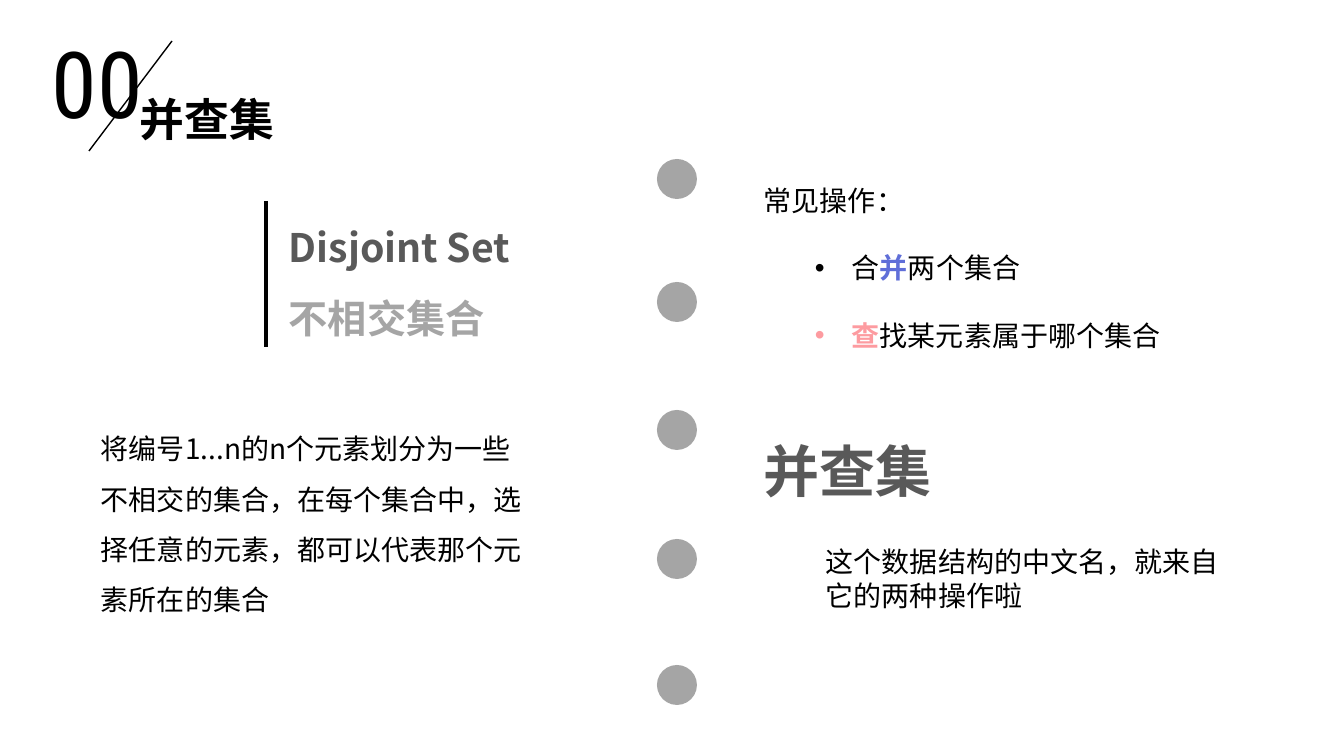
from dataclasses import dataclass

from lxml.etree import SubElement
from pptx import Presentation
from pptx.dml.color import RGBColor as Color
from pptx.enum.shapes import MSO_CONNECTOR as Connector, MSO_SHAPE as Shape
from pptx.enum.text import MSO_AUTO_SIZE as AutoSize
from pptx.oxml.ns import qn
from pptx.util import Pt

SLIDE_WIDTH, SLIDE_HEIGHT = 1344, 756
EMU_PER_PX = 12192000 / SLIDE_WIDTH


@dataclass(frozen=True)
class Theme:
    body_font: str = "Noto Sans CJK SC"
    number_font: str = "Roboto Condensed"
    black: str = "000000"
    dark: str = "595959"
    grey: str = "A5A5A5"
    blue: str = "5F6ED8"
    pink: str = "FD9BA0"
    number: int = 66
    name: int = 40
    title: int = 32
    term: int = 28
    body: int = 20


THEME = Theme()


def px(length):
    return round(length * EMU_PER_PX)


def style_run(run, size, color=THEME.black, bold=False, font_name=THEME.body_font):
    run.font.size = Pt(size)
    run.font.bold = bold
    run.font.color.rgb = Color.from_string(color)
    run.font.name = font_name
    east_asian = SubElement(run.font._element, qn("a:ea"))
    east_asian.set("typeface", font_name)


def add_text(slide, box, lines, size, color=THEME.black, bold=False,
             font_name=THEME.body_font, wrap=False, spacing=None):
    text_frame = slide.shapes.add_textbox(*map(px, box)).text_frame
    text_frame.word_wrap = wrap
    text_frame.auto_size = AutoSize.SHAPE_TO_FIT_TEXT
    text_frame.text = "\n".join(lines)
    for paragraph in text_frame.paragraphs:
        paragraph.line_spacing = spacing
        for run in paragraph.runs:
            style_run(run, size, color, bold, font_name)
    return text_frame


def add_bullet(text_frame, parts, spacing):
    paragraph = text_frame.add_paragraph()
    properties = paragraph._p.get_or_add_pPr()
    properties.set("marL", str(px(88)))
    properties.set("indent", str(px(-37)))
    SubElement(properties, qn("a:buFont")).set("typeface", "Arial")
    SubElement(properties, qn("a:buChar")).set("char", "•")
    paragraph.level = 1
    paragraph.line_spacing = spacing
    for text, color in parts:
        run = paragraph.add_run()
        run.text = text
        style_run(run, THEME.body, color, bold=color != THEME.black)


def add_line(slide, start, end, width):
    line = slide.shapes.add_connector(Connector.STRAIGHT, *map(px, start + end))
    line.line.color.rgb = Color.from_string(THEME.black)
    line.line.width = Pt(width)
    SubElement(line._element.spPr, qn("a:effectLst"))


def add_dot(slide, left, top, diameter=40):
    dot = slide.shapes.add_shape(
        Shape.OVAL, px(left), px(top), px(diameter), px(diameter))
    dot.shadow.inherit = False
    dot.fill.solid()
    dot.fill.fore_color.rgb = Color.from_string(THEME.grey)
    dot.line.fill.background()


def add_heading(slide):
    add_text(slide, (42, 21, 112, 122), ["00"], THEME.number,
             font_name=THEME.number_font)
    add_line(slide, (89, 151), (172, 41), 1)
    add_text(slide, (130, 87, 156, 65), ["并查集"], THEME.title, bold=True)


def add_definition(slide):
    add_line(slide, (266, 201), (266, 347), 2.75)
    term = add_text(slide, (279, 195, 247, 151), ["Disjoint Set", "不相交集合"],
                    THEME.term, THEME.dark, bold=True, spacing=1.5)
    term.paragraphs[1].runs[0].font.color.rgb = Color.from_string(THEME.grey)
    add_text(slide, (91, 410, 445, 208),
             ["将编号1...n的n个元素划分为一些不相交的集合，在每个集合中，"
              "选择任意的元素，都可以代表那个元素所在的集合"],
             THEME.body, wrap=True, spacing=1.5)


def add_operations(slide):
    operations = add_text(slide, (754, 145, 422, 204), ["常见操作："],
                          THEME.body, spacing=2.0)
    bullets = [
        [("合", THEME.black), ("并", THEME.blue), ("两个集合", THEME.black)],
        [("查", THEME.pink), ("找某元素属于哪个集合", THEME.black)],
    ]
    for parts in bullets:
        add_bullet(operations, parts, 2.0)


def add_name_origin(slide):
    add_text(slide, (754, 432, 188, 82), ["并查集"], THEME.name, THEME.dark, bold=True)
    add_text(slide, (816, 540, 437, 78),
             ["这个数据结构的中文名，就来自它的两种操作啦"], THEME.body, wrap=True)


def main():
    presentation = Presentation()
    presentation.slide_width = px(SLIDE_WIDTH)
    presentation.slide_height = px(SLIDE_HEIGHT)
    slide = presentation.slides.add_slide(presentation.slide_layouts[6])
    add_heading(slide)
    add_definition(slide)
    add_operations(slide)
    for dot_top in (159, 282, 410, 539, 665):
        add_dot(slide, 657, dot_top)
    add_name_origin(slide)
    presentation.save("out.pptx")


if __name__ == "__main__":
    main()
